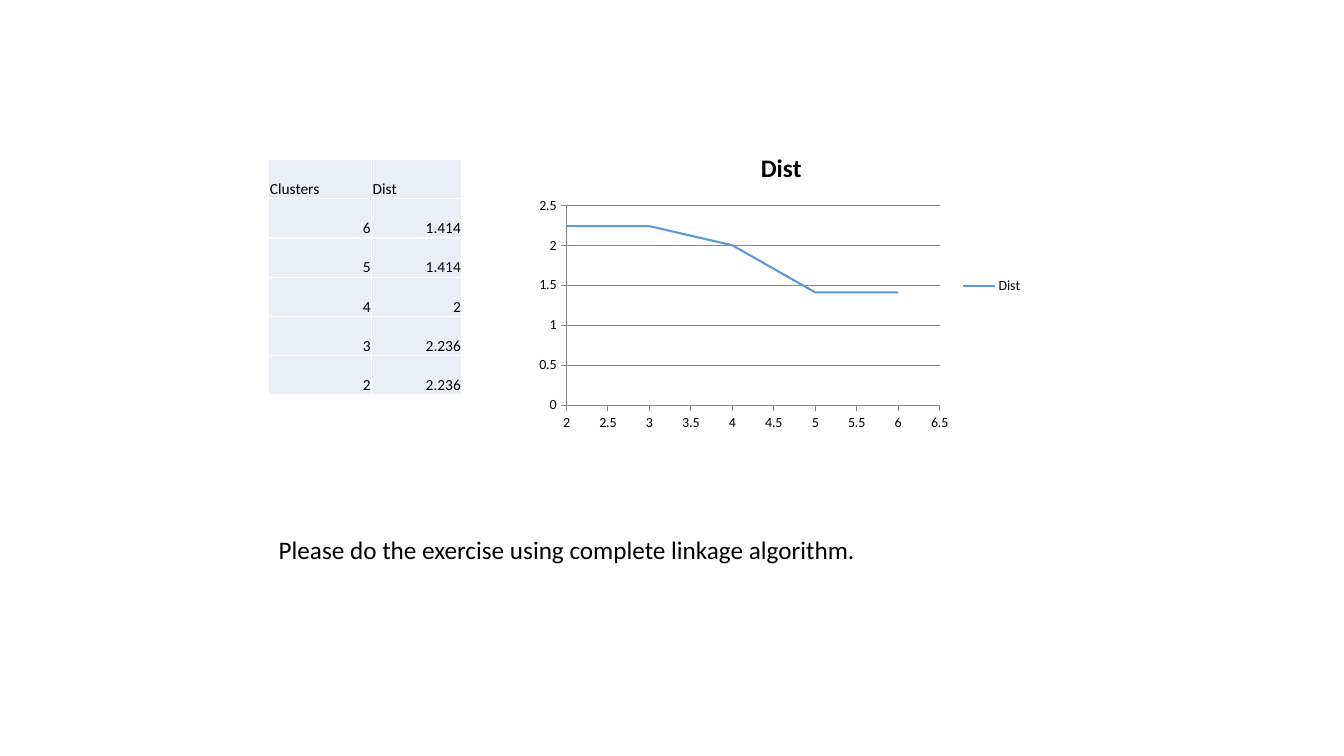
from lxml.etree import SubElement as Sub
from pptx import Presentation
from pptx.chart.data import XyChartData as XyData
from pptx.dml.color import RGBColor as Rgb
from pptx.enum.chart import XL_CHART_TYPE as Kind
from pptx.enum.chart import XL_LEGEND_POSITION as Side
from pptx.enum.chart import XL_TICK_MARK as Tick
from pptx.enum.text import MSO_ANCHOR as Anchor
from pptx.enum.text import PP_ALIGN as Align
from pptx.oxml.ns import qn
from pptx.util import Pt

PX = 6350  # EMU per px, 144 px to the inch
FONT = "Calibri"
BLACK, WHITE, PALE, BLUE, GREY = "000000", "FFFFFF", "EAEFF7", "5B9BD5", "868686"
DISTS = [(6, 1.414), (5, 1.414), (4, 2), (3, 2.236), (2, 2.236)]


def px(*nums):
    return [n * PX for n in nums]


def tint(code):
    return Rgb.from_string(code)


def style(font, size, bold=False, color=BLACK):
    font.name, font.size, font.bold = FONT, Pt(size), bold
    font.color.rgb = tint(color)


def write(frame, text, size=18, align=Align.LEFT, bold=False):
    para = frame.paragraphs[0]
    para.alignment = align
    run = para.add_run()
    run.text = text
    style(run.font, size, bold)


def stroke(line, color, width):
    line.color.rgb = tint(color)
    line.width = Pt(width)


def edge(cell):
    # White border on all four sides, placed ahead of the fill
    props = cell._tc.get_or_add_tcPr()
    for spot, side in enumerate(("lnL", "lnR", "lnT", "lnB")):
        line = Sub(props, qn("a:" + side), w=str(Pt(1)))
        fill = Sub(line, qn("a:solidFill"))
        Sub(fill, qn("a:srgbClr"), val=WHITE)
        props.insert(spot, line)


def add_grid(slide, rows, left, top, widths, height):
    box = px(left, top, sum(widths), height * len(rows))
    grid = slide.shapes.add_table(len(rows), len(widths), *box).table
    for col, width in zip(grid.columns, widths):
        col.width = width * PX
    for r, row in enumerate(rows):
        grid.rows[r].height = height * PX
        for c, item in enumerate(row):
            cell = grid.cell(r, c)
            cell.fill.solid()
            cell.fill.fore_color.rgb = tint(PALE)
            edge(cell)
            cell.vertical_anchor = Anchor.BOTTOM
            cell.margin_left = cell.margin_right = cell.margin_top = Pt(0.75)
            cell.margin_bottom = 0
            write(cell.text_frame, str(item), size=11,
                  align=Align.RIGHT if r else Align.LEFT)


def set_axis(axis, low, high):
    axis.minimum_scale, axis.maximum_scale, axis.major_unit = low, high, 0.5
    axis.major_tick_mark, axis.minor_tick_mark = Tick.OUTSIDE, Tick.NONE
    axis.tick_labels.number_format = "General"
    axis.tick_labels.number_format_is_linked = False
    style(axis.tick_labels.font, 10)
    stroke(axis.format.line, GREY, 0.75)


def add_plot(slide, name, points, *box):
    data = XyData()
    series = data.add_series(name)
    for x, y in points:
        series.add_data_point(x, round(y, 2))
    chart = slide.shapes.add_chart(
        Kind.XY_SCATTER_LINES_NO_MARKERS, *px(*box), data).chart
    style(chart.font, 10)
    chart.has_title = True
    write(chart.chart_title.text_frame, name, align=Align.CENTER, bold=True)
    chart.chart_title.include_in_layout = False

    # Axes and grid lines
    set_axis(chart.category_axis, 2, 6.5)
    set_axis(chart.value_axis, 0, 2.5)
    chart.category_axis.has_major_gridlines = False
    chart.value_axis.has_major_gridlines = True
    stroke(chart.value_axis.major_gridlines.format.line, GREY, 0.75)

    # Legend and curve
    chart.has_legend = True
    chart.legend.position = Side.RIGHT
    chart.legend.include_in_layout = False
    style(chart.legend.font, 10)
    curve = chart.plots[0].series[0]
    curve.smooth = False
    stroke(curve.format.line, BLUE, 1.5)


def add_note(slide, text, *box):
    frame = slide.shapes.add_textbox(*px(*box)).text_frame
    frame.word_wrap = True
    write(frame, text)


def main():
    deck = Presentation()
    deck.slide_width, deck.slide_height = px(1920, 1080)
    slide = deck.slides.add_slide(deck.slide_layouts[6])
    add_plot(slide, "Dist", DISTS, 756, 192, 720, 432)
    add_grid(slide, [("Clusters", "Dist")] + DISTS, 384, 228, (147, 129), 56)
    add_note(slide, "Please do the exercise using complete linkage algorithm.",
             384, 756, 1044, 58)
    deck.save("out.pptx")


if __name__ == "__main__":
    main()
